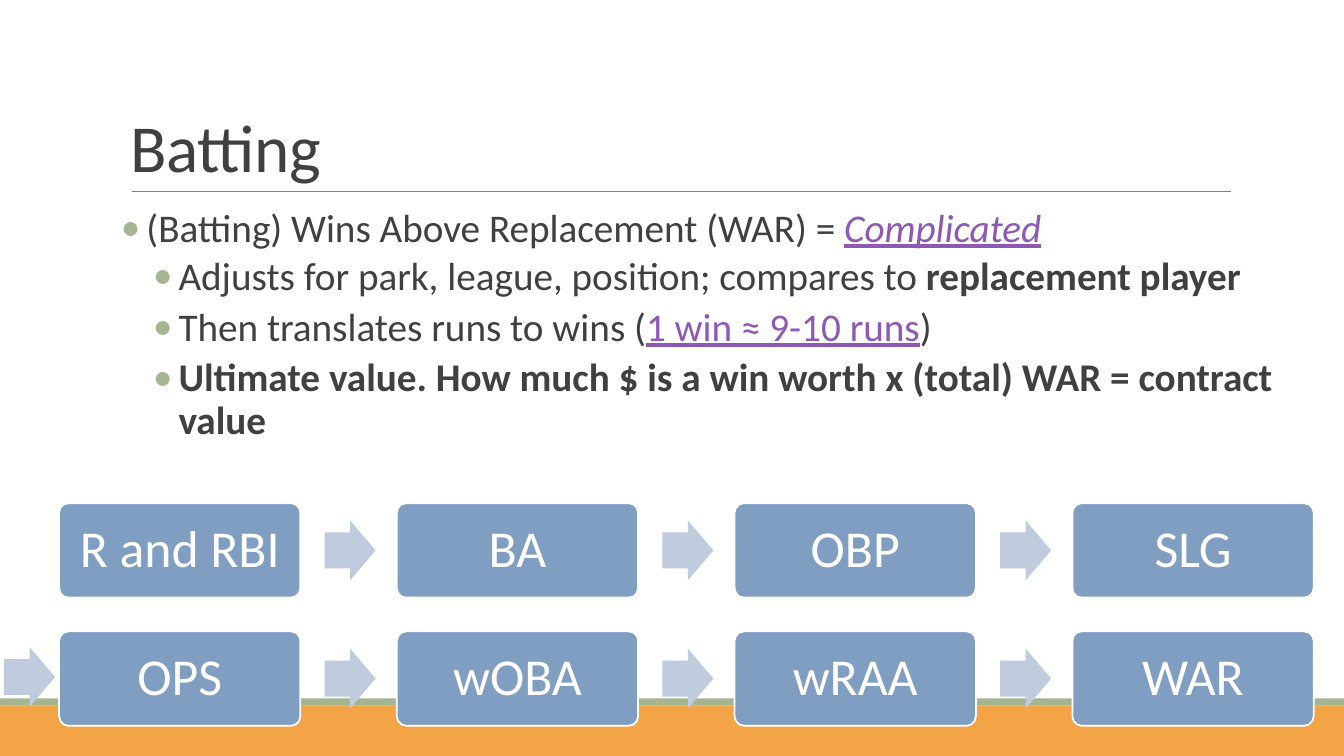
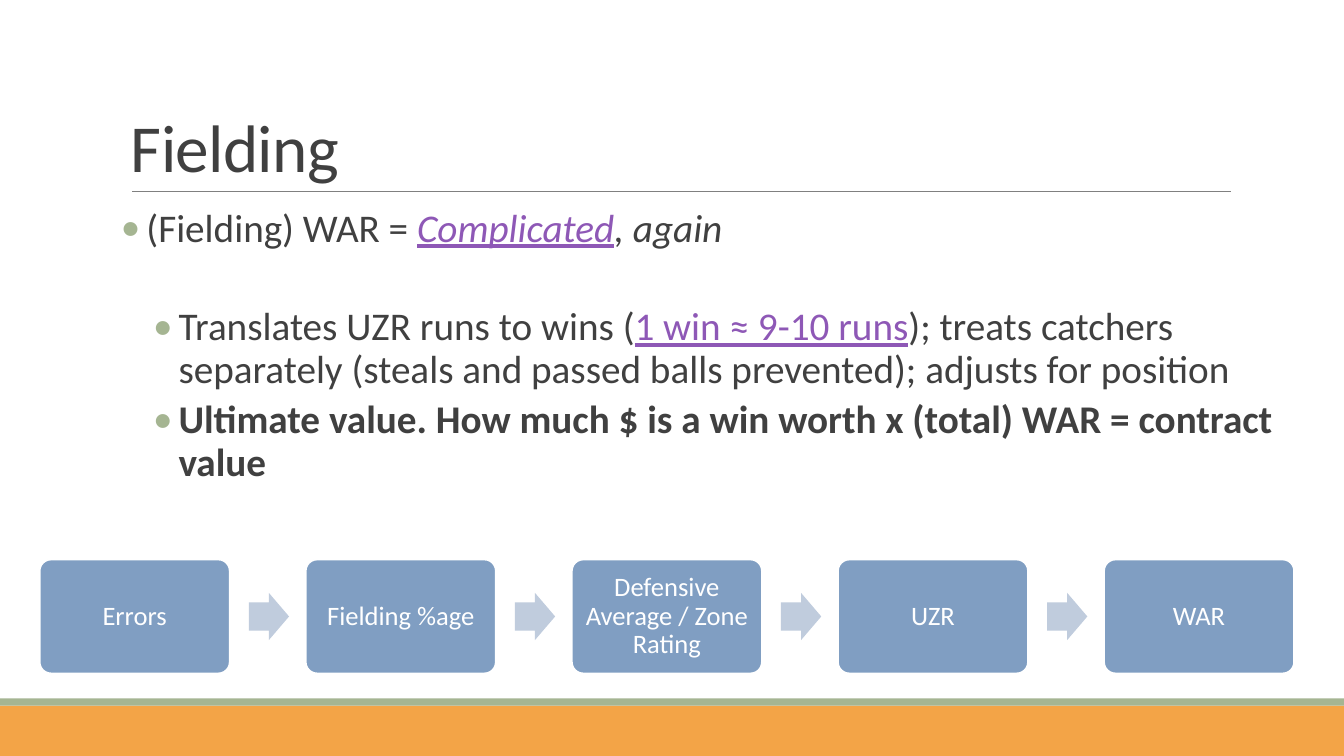
from lxml.etree import SubElement
from pptx import Presentation
from pptx.dml.color import RGBColor
from pptx.enum.shapes import MSO_CONNECTOR, MSO_SHAPE as Shape
from pptx.enum.text import MSO_ANCHOR as Anchor, PP_ALIGN as Align
from pptx.oxml.ns import qn
from pptx.util import Cm, Pt

COLORS = {
    "band": "F3A447",
    "stripe": "A5B592",
    "rule": "808080",
    "text": "404040",
    "link": "8E58B6",
    "step": "809EC2",
    "arrow": "C0CCDD",
    "white": "FFFFFF",
}
FONT = "Calibri"
WIDTH, HEIGHT = 33.87, 19.05
BULLET_HANG = 0.64
# Per outline level: left margin (cm), space before and after (pt)
LEVELS = [(0.64, 12, 2), (1.45, 2, 4)]


def rgb(name):
    return RGBColor.from_string(COLORS[name])


class Deck:
    def __init__(self):
        self.prs = Presentation()
        self.prs.slide_width, self.prs.slide_height = Cm(WIDTH), Cm(HEIGHT)
        self.slide = None

    def new_slide(self, title):
        """Start a slide with its footer bands, title and rule."""
        self.slide = self.prs.slides.add_slide(self.prs.slide_layouts[6])
        self.shape(Shape.RECTANGLE, 0, 17.78, WIDTH, 1.27, "band")
        self.shape(Shape.RECTANGLE, 0, 17.6, WIDTH, 0.18, "stripe")

        rule = self.slide.shapes.add_connector(
            MSO_CONNECTOR.STRAIGHT, Cm(3.33), Cm(4.83), Cm(31.01), Cm(4.83))
        rule.line.color.rgb = rgb("rule")
        rule.line.width = Pt(0.5)
        SubElement(rule._element.spPr, qn("a:effectLst"))

        frame = self.text_frame(3.05, 0.79, 27.94, 4.04)
        frame.vertical_anchor = Anchor.BOTTOM
        heading = frame.paragraphs[0]
        heading.line_spacing = 0.85
        heading.add_run().text = title
        heading.runs[0]._r.get_or_add_rPr().set("spc", "-50")
        self.style(heading.font, 48, "text")

    def shape(self, kind, left, top, width, height, fill):
        shape = self.slide.shapes.add_shape(
            kind, Cm(left), Cm(top), Cm(width), Cm(height))
        shape.shadow.inherit = False
        shape.fill.solid()
        shape.fill.fore_color.rgb = rgb(fill)
        shape.line.fill.background()
        return shape

    def text_frame(self, left, top, width, height):
        box = self.slide.shapes.add_textbox(
            Cm(left), Cm(top), Cm(width), Cm(height))
        box.text_frame.word_wrap = True
        return box.text_frame

    def style(self, font, size, color):
        font.name = FONT
        font.size = Pt(size)
        font.color.rgb = rgb(color)

    def emphasize(self, font, marks):
        if "bold" in marks:
            font.bold = True
        if "italic" in marks:
            font.italic = True
        if "link" in marks:
            font.underline = True
            font.color.rgb = rgb("link")

    def bullets(self, items):
        """Each item is (level, extra space before, [(text, marks), ...])."""
        frame = self.text_frame(3.05, 5.13, 29.57, 11.18)
        frame.margin_left = frame.margin_right = 0
        for index, (level, extra, parts) in enumerate(items):
            point = frame.add_paragraph() if index else frame.paragraphs[0]
            margin, before, after = LEVELS[level]
            point.level = level
            point.line_spacing = 0.9
            point.space_before = Pt(before + extra if index else 0)
            point.space_after = Pt(after)

            # Bullet and hanging indent
            props = point._p.get_or_add_pPr()
            props.set("marL", str(Cm(margin)))
            props.set("indent", str(-Cm(BULLET_HANG)))
            bullet_color = SubElement(props, qn("a:buClr"))
            SubElement(bullet_color, qn("a:srgbClr"), val=COLORS["stripe"])
            SubElement(props, qn("a:buFont"), typeface=FONT)
            SubElement(props, qn("a:buChar"), char="•")

            self.style(point.font, 28, "text")
            for text, marks in parts:
                run = point.add_run()
                run.text = text
                self.emphasize(point.font if len(parts) == 1 else run.font, marks)

    def arrow(self, left, middle, step_width):
        """Arrow sized in proportion to the steps it links."""
        width, height = 0.212 * step_width, 0.248 * step_width
        arrow = self.shape(Shape.RIGHT_ARROW, left, middle - height / 2,
                           width, height, "arrow")
        arrow.adjustments[0], arrow.adjustments[1] = 0.6, 0.5

    def process(self, steps, left, top, width, height, size, inset):
        """Row of rounded steps with an arrow in each gap."""
        for index, label in enumerate(steps):
            x = left + index * 1.4 * width
            if index:
                self.arrow(x - 0.3 * width, top + height / 2, width)
            step = self.shape(Shape.ROUNDED_RECTANGLE, x, top, width, height, "step")
            step.adjustments[0] = 0.1
            step.line.color.rgb = rgb("white")
            step.line.width = Pt(1.25)

            frame = step.text_frame
            frame.word_wrap = True
            frame.vertical_anchor = Anchor.MIDDLE
            frame.margin_left = frame.margin_right = Cm(inset)
            frame.margin_top = frame.margin_bottom = Cm(inset)
            caption = frame.paragraphs[0]
            caption.add_run().text = label
            caption.alignment = Align.CENTER
            caption.line_spacing = 0.9
            self.style(caption.font, size, "white")


def main():
    deck = Deck()
    win_value = ("1 win ≈ 9-10 runs", "link")
    contract_value = (1, 0, [(
        "Ultimate value. How much $ is a win worth x (total) WAR = contract value",
        "bold")])

    # Batting
    deck.new_slide("Batting")
    deck.bullets([
        (0, 0, [("(Batting) Wins Above Replacement (WAR) = ", ""),
                ("Complicated", "italic link")]),
        (1, 0, [("Adjusts for park, league, position; compares to ", ""),
                ("replacement player", "bold")]),
        (1, 0, [("Then translates runs to wins (", ""), win_value, (")", "")]),
        contract_value,
    ])
    batting_rows = [
        (12.68, ["R and RBI", "BA", "OBP", "SLG"]),
        (15.91, ["OPS", "wOBA", "wRAA", "WAR"]),
    ]
    for top, measures in batting_rows:
        deck.process(measures, 1.49, top, 6.08, 2.38, size=37, inset=0.37)
    deck.arrow(0.1, 17.06, 6.08)

    # Fielding
    deck.new_slide("Fielding")
    deck.bullets([
        (0, 0, [("(Fielding) WAR = ", ""), ("Complicated", "italic link"),
                (", again", "italic")]),
        (1, 36, [("Translates UZR runs to wins (", ""), win_value,
                 ("); treats catchers separately (steals and passed balls "
                  "prevented); adjusts for position", "")]),
        contract_value,
    ])
    deck.process(
        ["Errors", "Fielding %age", "Defensive Average / Zone Rating", "UZR", "WAR"],
        1, 14.1, 4.79, 2.87, size=19, inset=0.2)

    deck.prs.save("out.pptx")


if __name__ == "__main__":
    main()
